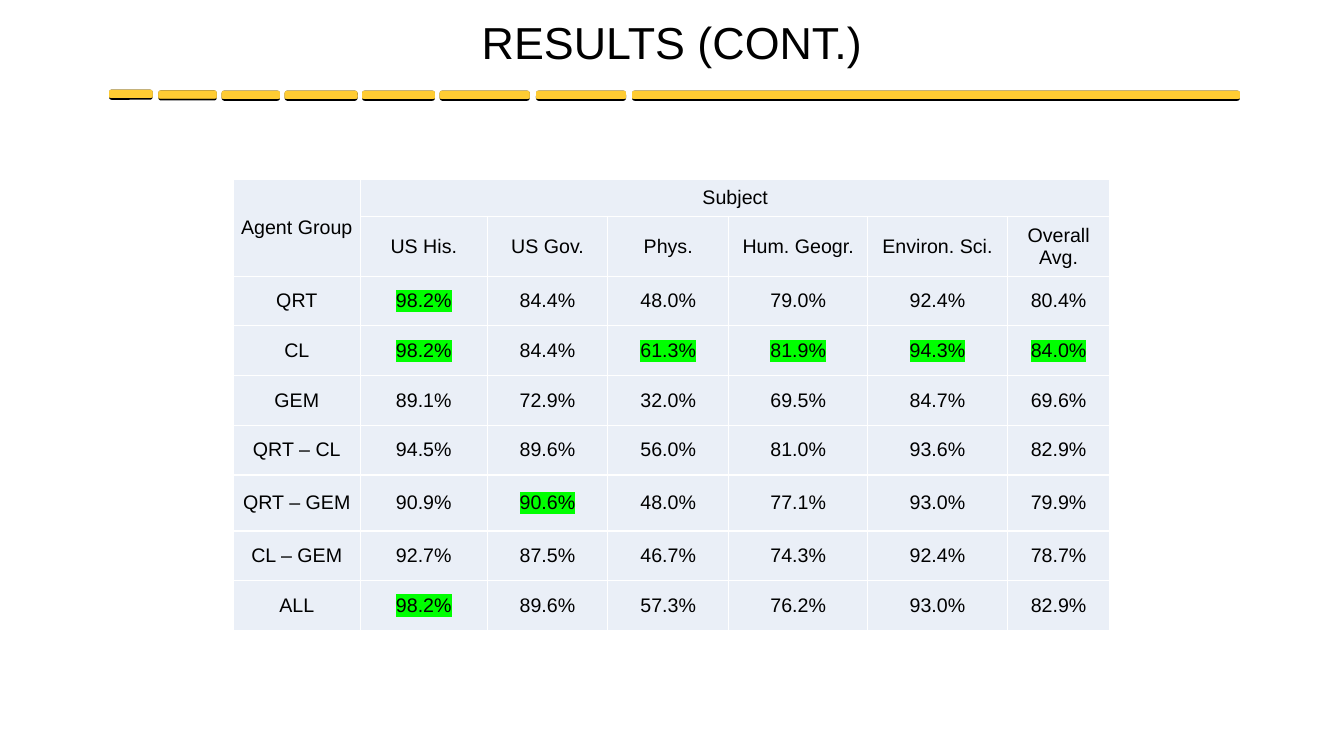
from lxml import etree
from pptx import Presentation
from pptx.dml.color import RGBColor
from pptx.enum.shapes import MSO_SHAPE
from pptx.enum.text import MSO_ANCHOR, PP_ALIGN
from pptx.oxml.ns import qn
from pptx.util import Pt

BLACK = RGBColor(0x00, 0x00, 0x00)
WHITE = RGBColor(0xFF, 0xFF, 0xFF)
GOLD = RGBColor(0xFF, 0xCC, 0x33)
PALE_BLUE = RGBColor(0xEA, 0xEF, 0xF7)
GREEN = RGBColor(0x00, 0xFF, 0x00)

ROUNDED, RECT = MSO_SHAPE.ROUNDED_RECTANGLE, MSO_SHAPE.RECTANGLE
MIDDLE, CENTER = MSO_ANCHOR.MIDDLE, PP_ALIGN.CENTER
TITLE_ONLY = 5
FONT = "Arial"

# Left offset, top offset and width of each dash
DASHES = [(0, 0, 31.1), (35.3, 0.5, 41.6), (80.5, 0.7, 41.6), (125.5, 0.7, 52),
          (180.8, 0.7, 52), (236.2, 0.7, 64.3), (305, 0.7, 64.3),
          (373.6, 0.7, 434.2)]
COL_WIDTHS = [91, 90.5, 86.25, 86.25, 99.5, 99.5, 73.5]
ROW_HEIGHTS = [26.5, 42.5, 35.5, 35.5, 35.5, 35.5, 40, 35.5, 35.5]
SUBJECTS = ["US His.", "US Gov.", "Phys.", "Hum. Geogr.", "Environ. Sci.",
            "Overall Avg."]
SCORES = {
    "QRT": [98.2, 84.4, 48.0, 79.0, 92.4, 80.4],
    "CL": [98.2, 84.4, 61.3, 81.9, 94.3, 84.0],
    "GEM": [89.1, 72.9, 32.0, 69.5, 84.7, 69.6],
    "QRT – CL": [94.5, 89.6, 56.0, 81.0, 93.6, 82.9],
    "QRT – GEM": [90.9, 90.6, 48.0, 77.1, 93.0, 79.9],
    "CL – GEM": [92.7, 87.5, 46.7, 74.3, 92.4, 78.7],
    "ALL": [98.2, 89.6, 57.3, 76.2, 93.0, 82.9],
}


def add_title(s, text, left, top, width, height):
    title = s.shapes.title
    title.left, title.top = Pt(left), Pt(top)
    title.width, title.height = Pt(width), Pt(height)
    tf = title.text_frame
    tf.text = text
    tf.vertical_anchor = MIDDLE
    p = tf.paragraphs[0]
    p.alignment = CENTER
    p.line_spacing = 0.9
    style_font(p.runs[0], 32)


def style_font(r, size):
    r.font.name = FONT
    r.font.size = Pt(size)
    r.font.color.rgb = BLACK


def add_bar(s, kind, color, left, top, width, height):
    bar = s.shapes.add_shape(kind, Pt(left), Pt(top), Pt(width), Pt(height))
    bar.shadow.inherit = False
    bar.fill.solid()
    bar.fill.fore_color.rgb = color
    bar.line.fill.background()
    if kind == ROUNDED:
        bar.adjustments[0] = 0.25


def add_dashed_rule(s, left, top):
    """Draw gold dashes, each over a black rounded edge."""
    for dx, dy, width in DASHES:
        x, y = left + dx, top + dy
        add_bar(s, ROUNDED, BLACK, x, y, width, 7.2)
        add_bar(s, ROUNDED, GOLD, x, y, width, 5.8)
        add_bar(s, RECT, GOLD, x, y + 1.4, width, 4.3)


def add_color(parent, tag, color):
    node = etree.SubElement(parent, qn(tag))
    etree.SubElement(node, qn("a:srgbClr")).set("val", str(color))
    return node


def set_borders(cell):
    tcPr = cell._tc.get_or_add_tcPr()
    for i, side in enumerate(("a:lnL", "a:lnR", "a:lnT", "a:lnB")):
        ln = etree.Element(qn(side), w=str(Pt(1)))
        add_color(ln, "a:solidFill", WHITE)
        tcPr.insert(i, ln)


def highlight(r):
    rPr = r.font._element
    mark = add_color(rPr, "a:highlight", GREEN)
    rPr.find(qn("a:latin")).addprevious(mark)


def fill_cell(cell, text, is_best=False):
    cell.text = text
    cell.vertical_anchor = MIDDLE
    cell.margin_left = cell.margin_right = Pt(5)
    cell.margin_top = cell.margin_bottom = 0
    p = cell.text_frame.paragraphs[0]
    p.alignment = CENTER
    for r in p.runs:
        style_font(r, 14)
        if is_best:
            highlight(r)


def add_results_table(s, left, top):
    """Tabulate the scores and highlight the best of each subject."""
    table = s.shapes.add_table(
        len(ROW_HEIGHTS), len(COL_WIDTHS), Pt(left), Pt(top),
        Pt(sum(COL_WIDTHS)), Pt(sum(ROW_HEIGHTS))).table
    table.first_row = table.horz_banding = False
    for col, width in zip(table.columns, COL_WIDTHS):
        col.width = Pt(width)
    for row, height in zip(table.rows, ROW_HEIGHTS):
        row.height = Pt(height)
    for cell in table.iter_cells():
        cell.fill.solid()
        cell.fill.fore_color.rgb = PALE_BLUE
        set_borders(cell)
        fill_cell(cell, "")

    table.cell(0, 0).merge(table.cell(1, 0))
    table.cell(0, 1).merge(table.cell(0, len(SUBJECTS)))
    fill_cell(table.cell(0, 0), "Agent Group")
    fill_cell(table.cell(0, 1), "Subject")
    for j, subject in enumerate(SUBJECTS, 1):
        fill_cell(table.cell(1, j), subject)

    best = [max(column) for column in zip(*SCORES.values())]
    for i, (group, scores) in enumerate(SCORES.items(), 2):
        fill_cell(table.cell(i, 0), group)
        for j, score in enumerate(scores, 1):
            fill_cell(table.cell(i, j), f"{score:.1f}%", score == best[j - 1])


def main():
    prs = Presentation()
    prs.slide_width, prs.slide_height = Pt(960), Pt(540)
    s = prs.slides.add_slide(prs.slide_layouts[TITLE_ONLY])
    add_dashed_rule(s, 77.9, 64.1)
    add_results_table(s, 166.5, 128.3)
    add_title(s, "RESULTS (CONT.)", 66, 10.8, 828, 43.2)
    prs.save("out.pptx")


if __name__ == "__main__":
    main()
